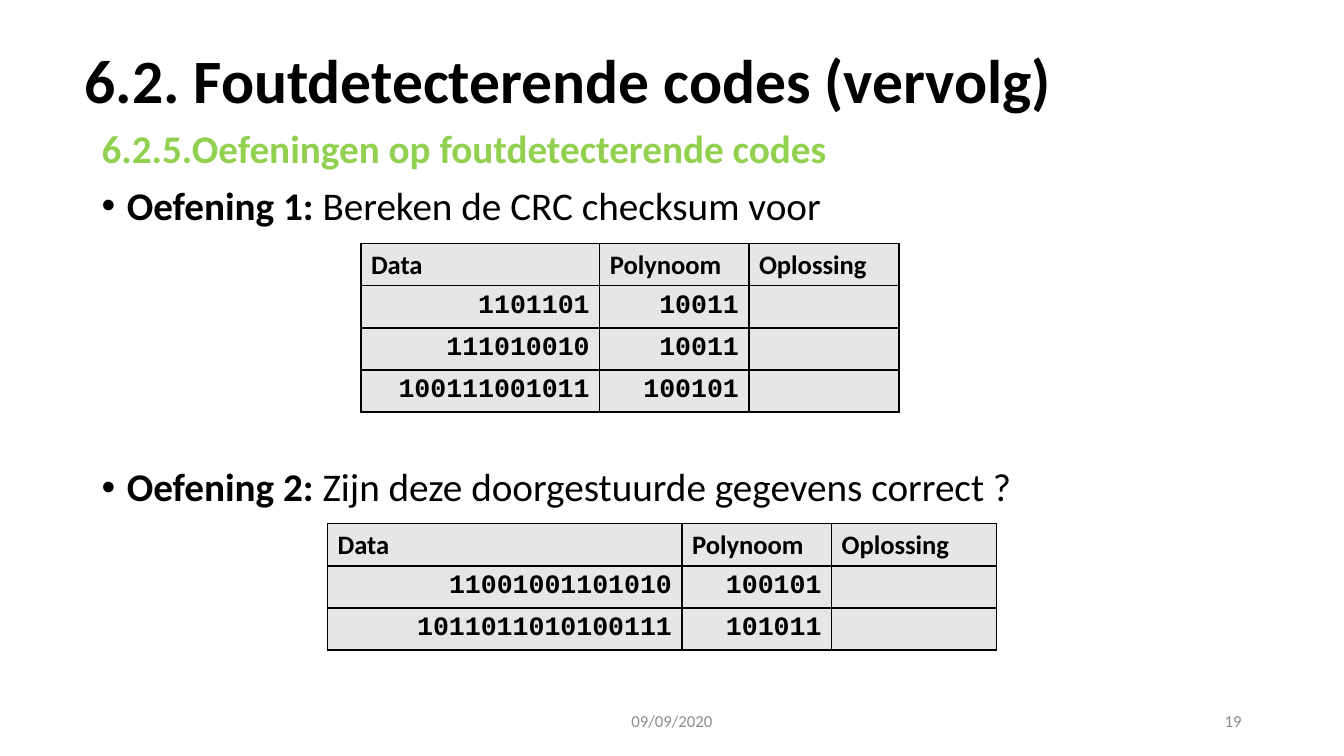
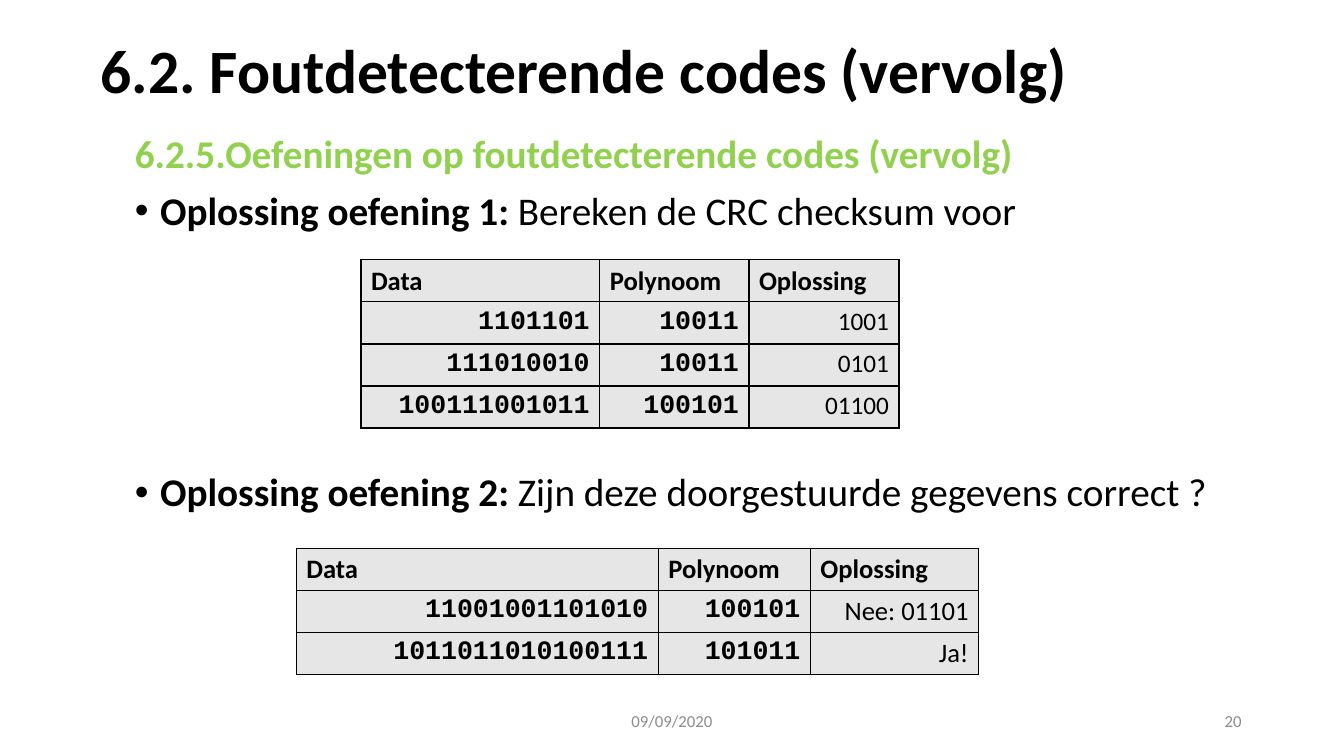
from lxml import etree
from pptx import Presentation
from pptx.dml.color import RGBColor
from pptx.enum import text as t
from pptx.oxml import ns
from pptx.util import Pt

BLACK = RGBColor(0, 0, 0)
GREEN = RGBColor(0x92, 0xD0, 0x50)
GREY = RGBColor(0x8C, 0x8C, 0x8C)
PALE = RGBColor(0xE7, 0xE6, 0xE6)
SANS, MONO = "Calibri", "Courier New"
LEFT, MID, RIGHT = t.PP_ALIGN.LEFT, t.PP_ALIGN.CENTER, t.PP_ALIGN.RIGHT
TOP, CENTRE = t.MSO_ANCHOR.TOP, t.MSO_ANCHOR.MIDDLE

TITLE = "6.2. Foutdetecterende codes (vervolg)"
HEAD = "6.2.5.Oefeningen op foutdetecterende codes"
DATE = "09/09/2020"
HEADS = ("Data", "Polynoom", "Oplossing")
TASKS = ("Bereken de CRC checksum voor",
         "Zijn deze doorgestuurde gegevens correct ?")
CODES = (
    (("1101101", "10011"), ("111010010", "10011"),
     ("100111001011", "100101")),
    (("11001001101010", "100101"), ("1011011010100111", "101011")),
)
ROW = 30
GAP = 10
TABLE_GAP = 171  # room for a table between the two tasks


def add_run(para, words, size, color=BLACK, bold=False, face=SANS):
    run = para.add_run()
    run.text = words
    font = run.font
    font.name, font.size, font.bold = face, Pt(size), bold
    font.color.rgb = color


def add_box(slide, left, top, width, height, anchor=CENTRE):
    box = slide.shapes.add_textbox(Pt(left), Pt(top), Pt(width), Pt(height))
    frame = box.text_frame
    frame.word_wrap = True
    frame.vertical_anchor = anchor
    return frame


def add_title(slide, left, top):
    para = add_box(slide, left, top, 828, 104.4).paragraphs[0]
    para.line_spacing = 0.9
    add_run(para, TITLE, 44, bold=True)


def add_footer(slide, number):
    for words, left, width, align in ((DATE, 318, 324, MID),
                                      (number, 678, 216, RIGHT)):
        para = add_box(slide, left, 500.4, width, 28.8).paragraphs[0]
        para.alignment = align
        add_run(para, words, 12, GREY)


def space(para, before):
    para.line_spacing = 0.9
    para.space_before = Pt(before)


def add_bullet(para):
    props = para._p.get_or_add_pPr()
    props.set("marL", str(Pt(18)))
    props.set("indent", str(Pt(-18)))
    for tag, key, value in (("a:buFont", "typeface", "Arial"),
                            ("a:buChar", "char", "•")):
        etree.SubElement(props, ns.qn(tag)).set(key, value)


def add_body(slide, left, top, head, label):
    frame = add_box(slide, left, top, 828, 380, TOP)
    para = frame.paragraphs[0]
    space(para, GAP)
    add_run(para, head, 28, GREEN, True)
    for num, (task, before) in enumerate(zip(TASKS, (GAP, TABLE_GAP)), 1):
        para = frame.add_paragraph()
        space(para, before)
        add_bullet(para)
        add_run(para, f"{label} {num}: ", 28, bold=True)
        add_run(para, task, 28)


def add_edges(cell):
    props = cell._tc.get_or_add_tcPr()
    for side in ("L", "R", "T", "B"):
        line = etree.SubElement(props, ns.qn(f"a:ln{side}"), w=str(Pt(1)))
        fill = etree.SubElement(line, ns.qn("a:solidFill"))
        etree.SubElement(fill, ns.qn("a:srgbClr"), val=str(BLACK))


def add_cell(cell, words, align, **style):
    add_edges(cell)
    cell.fill.solid()
    cell.fill.fore_color.rgb = PALE
    if words:
        para = cell.text_frame.paragraphs[0]
        para.alignment = align
        add_run(para, words, **style)


def add_table(slide, left, top, widths, codes, answers, size):
    """Draw the codes with their answers, which are set in the given size."""
    count = len(codes) + 1
    table = slide.shapes.add_table(
        count, len(widths), Pt(left), Pt(top),
        Pt(sum(widths)), Pt(ROW * count)).table
    table.first_row = table.horz_banding = False
    for col, width in zip(table.columns, widths):
        col.width = Pt(width)
    for row in table.rows:
        row.height = Pt(ROW)
    for col, words in enumerate(HEADS):
        add_cell(table.cell(0, col), words, LEFT, size=19, bold=True)
    for row, (pair, answer) in enumerate(zip(codes, answers), 1):
        for col, words in enumerate(pair):
            add_cell(table.cell(row, col), words, RIGHT,
                     size=19, bold=True, face=MONO)
        add_cell(table.cell(row, 2), answer, RIGHT, size=size)


def main():
    deck = Presentation()
    deck.slide_width, deck.slide_height = Pt(960), Pt(540)
    blank = deck.slide_layouts[6]
    first = (170.6, 106.6, 107.2)

    slide = deck.slides.add_slide(blank)
    add_body(slide, 65.5, 89.3, HEAD, "Oefening")
    add_table(slide, 257.8, 174.2, first, CODES[0], ("",) * 3, 18)
    add_table(slide, 234, 374.2, (253.2, 106.8, 118), CODES[1], ("",) * 2, 18)
    add_footer(slide, "19")
    add_title(slide, 53.3, 7.2)

    slide = deck.slides.add_slide(blank)
    add_body(slide, 89.3, 92.9, HEAD + " (vervolg)", "Oplossing oefening")
    add_table(slide, 257.8, 185.6, first, CODES[0],
              ("1001", "0101", "01100"), 18)
    add_table(slide, 211.7, 391.6, (258.5, 108.7, 120.2), CODES[1],
              ("Nee: 01101", "Ja!"), 19)
    add_footer(slide, "20")
    add_title(slide, 64.8, 0)

    deck.save("out.pptx")


if __name__ == "__main__":
    main()
